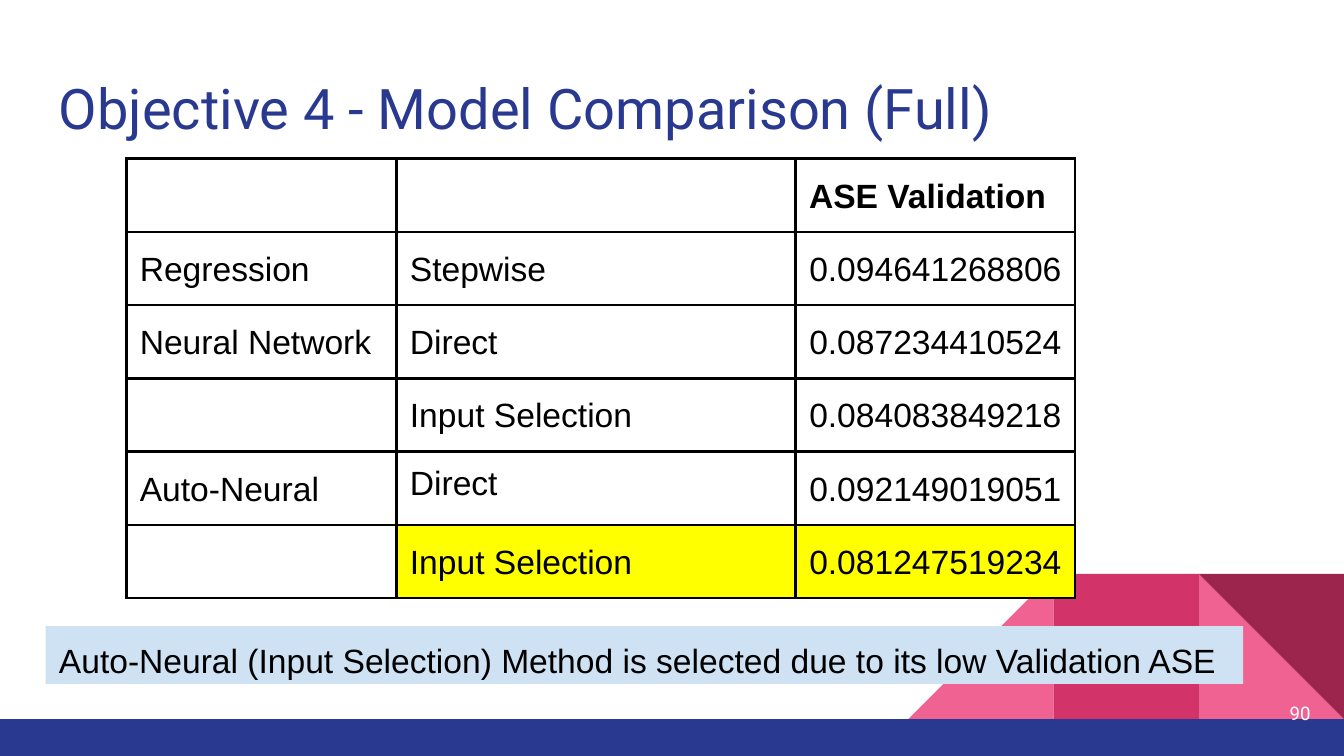
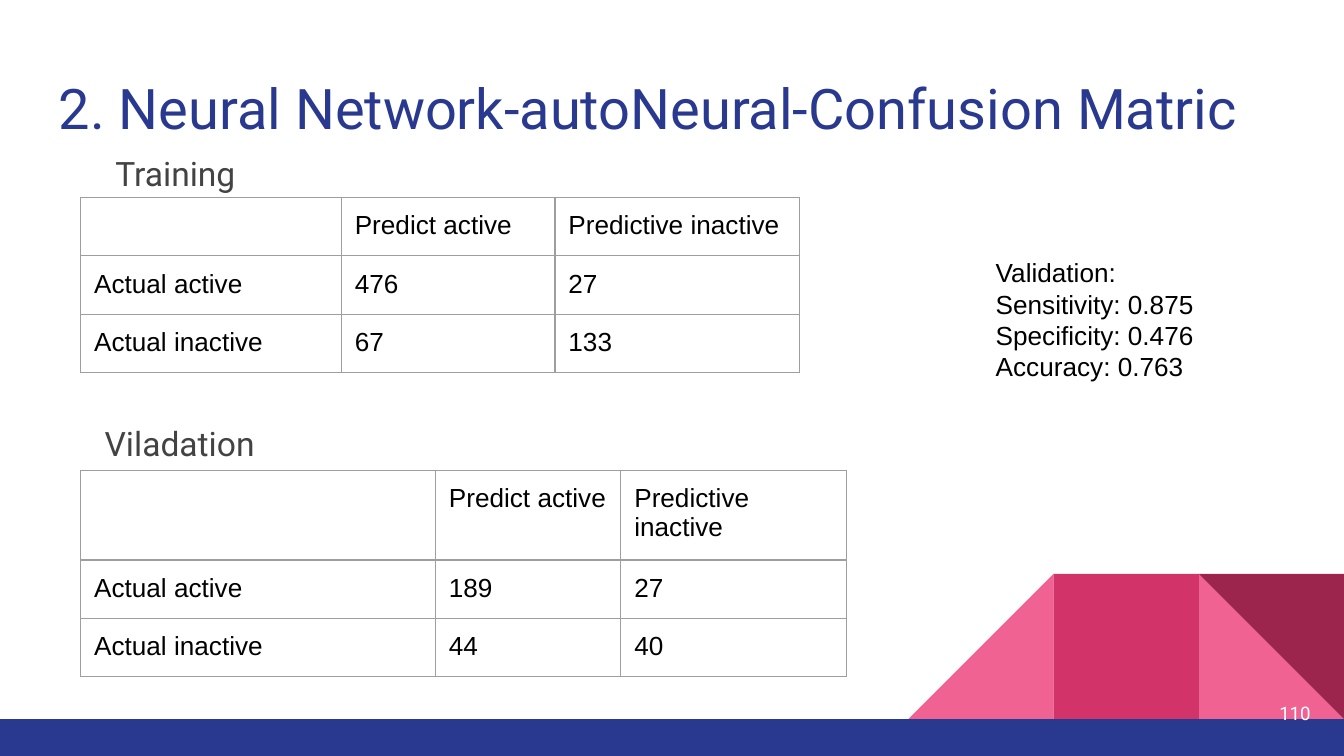
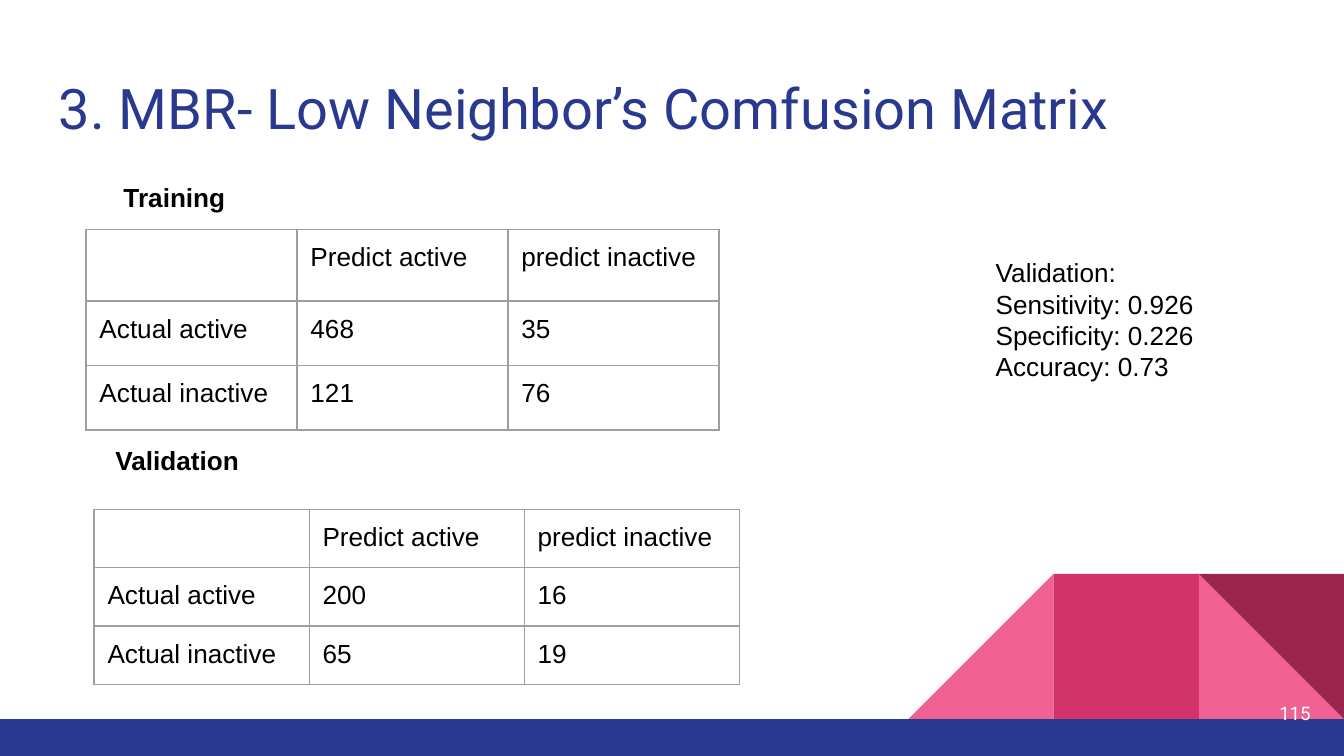
import dataclasses

import lxml.etree
import pptx
import pptx.dml.color
import pptx.enum.shapes
import pptx.enum.text
import pptx.oxml.ns
import pptx.util

Inches = pptx.util.Inches
Pt = pptx.util.Pt
RGB = pptx.dml.color.RGBColor.from_string
Shapes = pptx.enum.shapes.MSO_SHAPE
Align = pptx.enum.text.PP_ALIGN
Anchor = pptx.enum.text.MSO_ANCHOR
qn = pptx.oxml.ns.qn


@dataclasses.dataclass(frozen=True)
class Theme:
    navy: str = "2A3990"
    pink: str = "F06292"
    rose: str = "D23369"
    wine: str = "9C254D"
    white: str = "FFFFFF"
    black: str = "000000"
    gray: str = "434343"
    rule: str = "9E9E9E"
    highlight: str = "FFFF00"
    callout: str = "CFE2F3"
    heading_font: str = "Roboto"
    text_font: str = "Arial"
    title_size: int = 30
    large_size: int = 18
    text_size: int = 14
    number_size: int = 10


theme = Theme()


def write(frame, text, size, color=theme.black, font=theme.text_font,
          bold=False, align=Align.LEFT, spacing=None):
    """Fill a text frame and format every paragraph and run alike."""
    frame.text = text
    for paragraph in frame.paragraphs:
        paragraph.alignment = align
        if spacing:
            paragraph.line_spacing = spacing
        for run in paragraph.runs:
            run.font.size = Pt(size)
            run.font.name = font
            run.font.bold = bold
            run.font.color.rgb = RGB(color)
            for script in ("a:ea", "a:cs"):
                lxml.etree.SubElement(run._r.rPr, qn(script), typeface=font)
        ending = lxml.etree.SubElement(paragraph._p, qn("a:endParaRPr"), sz=str(size * 100))
        for script in ("a:latin", "a:ea", "a:cs"):
            lxml.etree.SubElement(ending, qn(script), typeface=font)


def add_box(slide, at, fill=None, preset=Shapes.RECTANGLE):
    """Add a filled shape, or a text box when there is no fill."""
    place = [Inches(length) for length in at]
    if fill:
        box = slide.shapes.add_shape(preset, *place)
        box.shadow.inherit = False
        box.fill.solid()
        box.fill.fore_color.rgb = RGB(fill)
        box.line.fill.background()
    else:
        box = slide.shapes.add_textbox(*place)
    frame = box.text_frame
    frame.word_wrap = True
    frame.vertical_anchor = Anchor.TOP
    frame.margin_left = frame.margin_right = Inches(0.1)
    frame.margin_top = frame.margin_bottom = Inches(0.1)
    return box


# Label styles
body_label = dict(size=theme.large_size, color=theme.gray,
                  font=theme.heading_font, spacing=1.15)
bold_label = dict(size=theme.text_size, bold=True)
plain_label = dict(size=theme.text_size)

# Slide content: tables are (left, top, columns, rows, cells)
pages = [
    dict(
        title="Objective 4 - Model Comparison (Full)",
        number="90",
        tables=[
            (0.94, 1.18, [2.01, 2.97, 2.08], [0.29, 0.32, 0.32, 0.32, 0.34, 0.34], [
                ["", "", "ASE Validation"],
                ["Regression", "Stepwise", "0.094641268806"],
                ["Neural Network", "Direct", "0.087234410524"],
                ["", "Input Selection", "0.084083849218"],
                ["Auto-Neural", "Direct", "0.092149019051"],
                ["", "Input Selection", "0.081247519234"],
            ]),
        ],
        comparison=True,
        labels=[
            ((0.34, 4.66, 8.91, 0.43), theme.callout, dict(size=theme.large_size),
             "Auto-Neural (Input Selection) Method is selected due to its low Validation ASE"),
        ],
    ),
    dict(
        title="2. Neural Network-autoNeural-Confusion Matric",
        number="110",
        tables=[
            (0.6, 1.47, [1.94, 1.59, 1.82], [0.43, 0.42, 0.42], [
                ["", "Predict active", "Predictive inactive"],
                ["Actual active", "476", "27"],
                ["Actual inactive", "67", "133"],
            ]),
            (0.6, 3.5, [2.64, 1.38, 1.68], [0.38, 0.42, 0.42], [
                ["", "Predict active", "Predictive inactive"],
                ["Actual active", "189", "27"],
                ["Actual inactive", "44", "40"],
            ]),
        ],
        comparison=False,
        labels=[
            ((0.76, 0.99, 4.39, 0.43), None, body_label, "Training"),
            ((0.68, 3, 4.39, 0.43), None, body_label, "Viladation"),
            ((7.31, 1.81, 1.99, 1.98), None, plain_label,
             "Validation:\nSensitivity: 0.875\nSpecificity: 0.476\nAccuracy: 0.763"),
        ],
    ),
    dict(
        title="3. MBR- Low Neighbor’s Comfusion Matrix",
        number="115",
        tables=[
            (0.7, 3.79, [1.6] * 3, [0.42] * 3, [
                ["", "Predict active", "predict inactive"],
                ["Actual active", "200", "16"],
                ["Actual inactive", "65", "19"],
            ]),
            (0.64, 1.71, [1.57] * 3, [0.53, 0.48, 0.48], [
                ["", "Predict active", "predict inactive"],
                ["Actual active", "468", "35"],
                ["Actual inactive", "121", "76"],
            ]),
        ],
        comparison=False,
        labels=[
            ((7.31, 1.81, 1.99, 1.98), None, plain_label,
             "Validation:\nSensitivity: 0.926\nSpecificity: 0.226\nAccuracy: 0.73"),
            ((0.76, 3.21, 4.35, 0.51), None, bold_label, "Validation"),
            ((0.82, 1.25, 4.35, 0.51), None, bold_label, "Training"),
        ],
    ),
]

# Corner ornament: (column, preset, fill, rotation, mirrored)
tile = 1.08
ornament = [
    (2, Shapes.RIGHT_TRIANGLE, theme.pink, 0, False),
    (0, Shapes.RIGHT_TRIANGLE, theme.pink, 0, True),
    (1, Shapes.RECTANGLE, theme.rose, 0, False),
    (2, Shapes.RIGHT_TRIANGLE, theme.wine, 180, False),
]

# Widescreen, 16:9
deck = pptx.Presentation()
deck.slide_width = Inches(10)
deck.slide_height = Inches(10 * 9 / 16)

for page in pages:
    slide = deck.slides.add_slide(deck.slide_layouts[6])

    # Corner ornament and bottom band
    for column, preset, fill, rotation, mirrored in ornament:
        facet = add_box(slide, (6.76 + column * tile, 4.27, tile, tile), fill, preset)
        facet.rotation = rotation
        if mirrored:
            facet._element.spPr.find(qn("a:xfrm")).set("flipH", "1")
    add_box(slide, (0, 5.35, 10, 0.28), theme.navy)

    # Title and page number
    title = add_box(slide, (0.34, 0.45, 9.32, 0.66))
    write(title.text_frame, page["title"], theme.title_size, theme.navy, theme.heading_font)
    number = add_box(slide, (9.25, 5.09, 0.6, 0.43))
    number.text_frame.vertical_anchor = Anchor.MIDDLE
    write(number.text_frame, page["number"], theme.number_size, theme.white,
          theme.heading_font, align=Align.RIGHT)

    # Tables
    comparison = page["comparison"]
    border_color, border_width = (theme.black, 1.5) if comparison else (theme.rule, 0.75)
    for left, top, columns, rows, cells in page["tables"]:
        holder = slide.shapes.add_table(
            len(rows), len(columns), Inches(left), Inches(top), Inches(3.28), Inches(3.28))
        grid = holder.table
        grid.first_row = grid.horz_banding = False
        for column, width in enumerate(columns):
            grid.columns[column].width = Inches(width)
        for row, height in enumerate(rows):
            grid.rows[row].height = Inches(height)
            for column, text in enumerate(cells[row]):
                cell = grid.cell(row, column)
                cell.margin_left = cell.margin_right = Inches(0.1)
                cell.margin_top = cell.margin_bottom = Inches(0.1)
                for side in ("a:lnL", "a:lnR", "a:lnT", "a:lnB"):
                    edge = lxml.etree.SubElement(cell._tc.get_or_add_tcPr(), qn(side),
                                                 w=str(Pt(border_width)))
                    paint = lxml.etree.SubElement(edge, qn("a:solidFill"))
                    lxml.etree.SubElement(paint, qn("a:srgbClr"), val=border_color)

                # The selected model is the last row of the comparison
                if comparison and row == len(rows) - 1 and column > 0:
                    cell.fill.solid()
                    cell.fill.fore_color.rgb = RGB(theme.highlight)
                else:
                    cell.fill.background()

                single_spaced = not comparison or (row, column) == (4, 1)
                write(cell.text_frame, text,
                      theme.large_size if comparison else theme.text_size,
                      bold=comparison and row == 0,
                      align=Align.CENTER if comparison and row and column == 2 else Align.LEFT,
                      spacing=None if single_spaced else 1.15)
        # Sizing rows and columns resizes the frame, so set it last
        holder.width = holder.height = Inches(3.28)

    # Labels and callouts
    for at, fill, style, text in page["labels"]:
        write(add_box(slide, at, fill).text_frame, text, **style)

deck.save("out.pptx")
